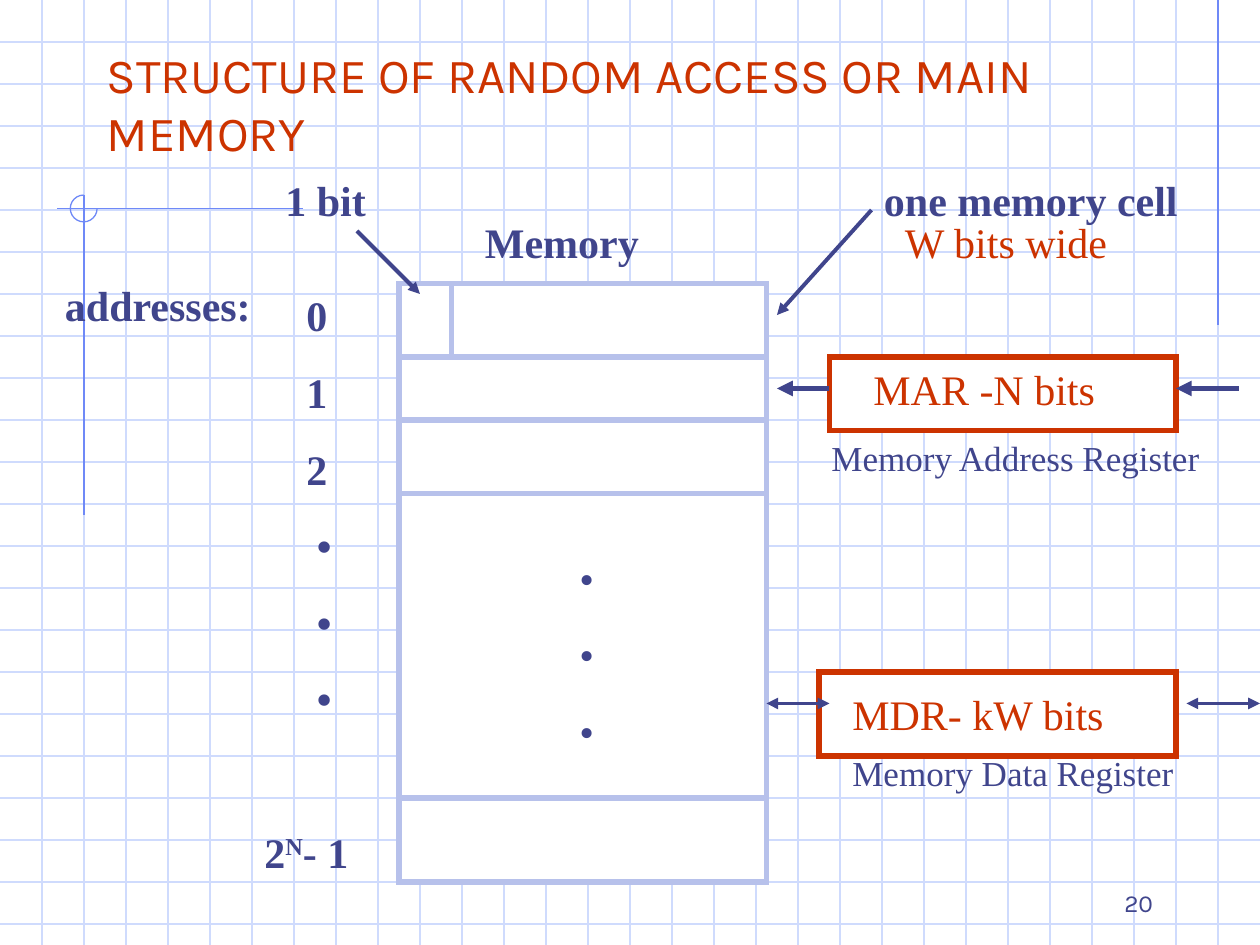
from dataclasses import dataclass

from pptx import Presentation
from pptx.dml.color import RGBColor
from pptx.enum.shapes import MSO_CONNECTOR, MSO_SHAPE
from pptx.enum.text import MSO_ANCHOR, PP_ALIGN
from pptx.oxml.ns import qn
from pptx.util import Pt
from lxml import etree

STRAIGHT = MSO_CONNECTOR.STRAIGHT
RECTANGLE, ARC = MSO_SHAPE.RECTANGLE, MSO_SHAPE.ARC
TOP, BOTTOM = MSO_ANCHOR.TOP, MSO_ANCHOR.BOTTOM
LEFT, RIGHT = PP_ALIGN.LEFT, PP_ALIGN.RIGHT


@dataclass(frozen=True)
class Theme:
    paper: str = "FFFFFF"
    grid: str = "CFDBFD"
    ornament: str = "6F89F7"
    memory: str = "B7C1EB"
    ink: str = "40458C"
    accent: str = "CC3300"
    heading_font: str = "Karla"
    body_font: str = "Times New Roman"
    title_size: float = 28
    body_size: float = 24
    caption_size: float = 20
    number_size: float = 14


@dataclass(frozen=True)
class Line:
    """One paragraph; the superscript stands between text and rest."""
    text: str
    indent: float = 0
    before: float = 15
    superscript: str = ""
    rest: str = ""


THEME = Theme()
SLIDE_WIDTH, SLIDE_HEIGHT = 720, 540
GRID_STEP = 24
MEMORY_LEFT, MEMORY_TOP, MEMORY_RIGHT, MEMORY_BOTTOM = 228, 162, 438, 504
DIGIT_INDENT, DOT_INDENT = 24, 30
DOTS = [Line("•", DOT_INDENT)] * 3


def rgb(value):
    return RGBColor.from_string(value)


def add_line(slide, x1, y1, x2, y2, color=THEME.ink, width=2.25, arrow=False):
    line = slide.shapes.add_connector(STRAIGHT, Pt(x1), Pt(y1), Pt(x2), Pt(y2))
    line.line.color.rgb = rgb(color)
    line.line.width = Pt(width)
    properties = line._element.spPr
    if arrow:
        etree.SubElement(properties.find(qn("a:ln")), qn("a:tailEnd"), type="triangle")
    etree.SubElement(properties, qn("a:effectLst"))


def add_outline(slide, kind, left, top, width, height, color, weight, fill=None):
    shape = slide.shapes.add_shape(kind, Pt(left), Pt(top), Pt(width), Pt(height))
    shape.shadow.inherit = False
    if fill:
        shape.fill.solid()
        shape.fill.fore_color.rgb = rgb(fill)
    else:
        shape.fill.background()
    shape.line.color.rgb = rgb(color)
    shape.line.width = Pt(weight)
    etree.SubElement(shape._element.spPr.find(qn("a:ln")), qn("a:miter"), lim="800000")
    return shape


def add_text(slide, content, left, top, width, height, *, size=THEME.body_size,
             color=THEME.ink, font=THEME.body_font, bold=False, align=LEFT,
             anchor=TOP):
    """Place a string, or a list of Line, in a text box."""
    lines = [Line(content)] if isinstance(content, str) else content
    frame = slide.shapes.add_textbox(Pt(left), Pt(top), Pt(width), Pt(height)).text_frame
    frame.word_wrap = True
    frame.vertical_anchor = anchor
    for index, line in enumerate(lines):
        paragraph = frame.add_paragraph() if index else frame.paragraphs[0]
        paragraph.alignment = align
        if index:
            paragraph.space_before = Pt(line.before)
        if line.indent:
            properties = paragraph._p.get_or_add_pPr()
            properties.set("marL", str(Pt(line.indent)))
            properties.set("indent", "0")
        for part in filter(None, (line.text, line.superscript, line.rest)):
            run = paragraph.add_run()
            run.text = part
            run.font.size = Pt(size)
            run.font.name = font
            run.font.bold = bold
            run.font.color.rgb = rgb(color)
            if part == line.superscript:
                run._r.get_or_add_rPr().set("baseline", "30000")


def draw_background(slide):
    for y in range(GRID_STEP, SLIDE_HEIGHT, GRID_STEP):
        add_line(slide, 0, y, SLIDE_WIDTH, y, THEME.grid, 0.75)
    for x in range(GRID_STEP, SLIDE_WIDTH, GRID_STEP):
        add_line(slide, x, 0, x, SLIDE_HEIGHT, THEME.grid, 0.75)
    for ends in ((696, 0, 696, 186), (173, 119.2, 32.5, 119.2), (48, 111.5, 48, 294.5)):
        add_line(slide, *ends, THEME.ornament, 0.75)
    ring = add_outline(slide, ARC, 40.2, 111.5, 15.3, 15.3, THEME.ornament, 0.75)
    ring.adjustments[0] = 0
    ring.adjustments[1] = 162  # 270 degrees, in units of 1/0.6 degree


def draw_memory(slide):
    add_outline(slide, RECTANGLE, MEMORY_LEFT, MEMORY_TOP, MEMORY_RIGHT - MEMORY_LEFT,
                MEMORY_BOTTOM - MEMORY_TOP, THEME.memory, 3, THEME.paper)
    add_text(slide, "Memory", 270, 120, 126, 36, bold=True)
    for y in (204, 240, 282, 456):
        add_line(slide, MEMORY_LEFT, y, MEMORY_RIGHT, y, THEME.memory, 3)
    add_line(slide, 258, MEMORY_TOP, 258, 204, THEME.memory, 3)

    add_line(slide, 204, 132, 240, 168, arrow=True)
    add_text(slide, "1 bit", 156, 96, 72, 36, bold=True)
    add_text(slide, "addresses:", 30, 156, 126, 36, bold=True)
    digits = [Line(digit, DIGIT_INDENT) for digit in "012"]
    last_address = Line("2", before=58.8, superscript="N", rest="- 1")
    add_text(slide, digits + DOTS + [last_address], 144, 162, 72, 386, bold=True)
    add_text(slide, DOTS, 294, 312, 78, 124)

    add_line(slide, 498, 120, 444, 180, arrow=True)
    add_text(slide, "one memory cell", 498, 96, 192, 36, bold=True)
    add_text(slide, "W bits wide", 510, 120, 138, 36, color=THEME.accent)


def draw_address_register(slide):
    add_outline(slide, RECTANGLE, 474, 204, 198, 42, THEME.accent, 3, THEME.paper)
    add_text(slide, "MAR -N bits", 492, 204, 174, 36, color=THEME.accent)
    for start, end in ((474, 444), (708, 672)):
        add_line(slide, start, 222, end, 222, width=3, arrow=True)
    add_text(slide, "Memory Address Register", 468, 246, 234, 32, size=THEME.caption_size)


def draw_data_register(slide):
    bus_y = 402
    for start, end in ((474, 438), (708, 678)):
        add_line(slide, start, bus_y, end, bus_y, arrow=True)
    add_outline(slide, RECTANGLE, 468, 384, 204, 48, THEME.accent, 3, THEME.paper)
    for start, end in ((444, 474), (684, 720)):
        add_line(slide, start, bus_y, end, bus_y, arrow=True)
    add_text(slide, "Memory Data Register", 480, 426, 216, 32, size=THEME.caption_size)
    add_text(slide, "MDR- kW bits", 480, 390, 174, 36, color=THEME.accent)


def main():
    deck = Presentation()
    deck.slide_width, deck.slide_height = Pt(SLIDE_WIDTH), Pt(SLIDE_HEIGHT)
    slide = deck.slides.add_slide(deck.slide_layouts[6])
    draw_background(slide)
    add_text(slide, "STRUCTURE OF RANDOM ACCESS OR MAIN MEMORY", 54, 18, 612, 78,
             size=THEME.title_size, color=THEME.accent, font=THEME.heading_font,
             anchor=BOTTOM)
    draw_memory(slide)
    draw_address_register(slide)
    draw_data_register(slide)
    add_text(slide, "20", 516, 492, 150, 36, size=THEME.number_size,
             font=THEME.heading_font, align=RIGHT, anchor=BOTTOM)
    deck.save("out.pptx")


if __name__ == "__main__":
    main()
